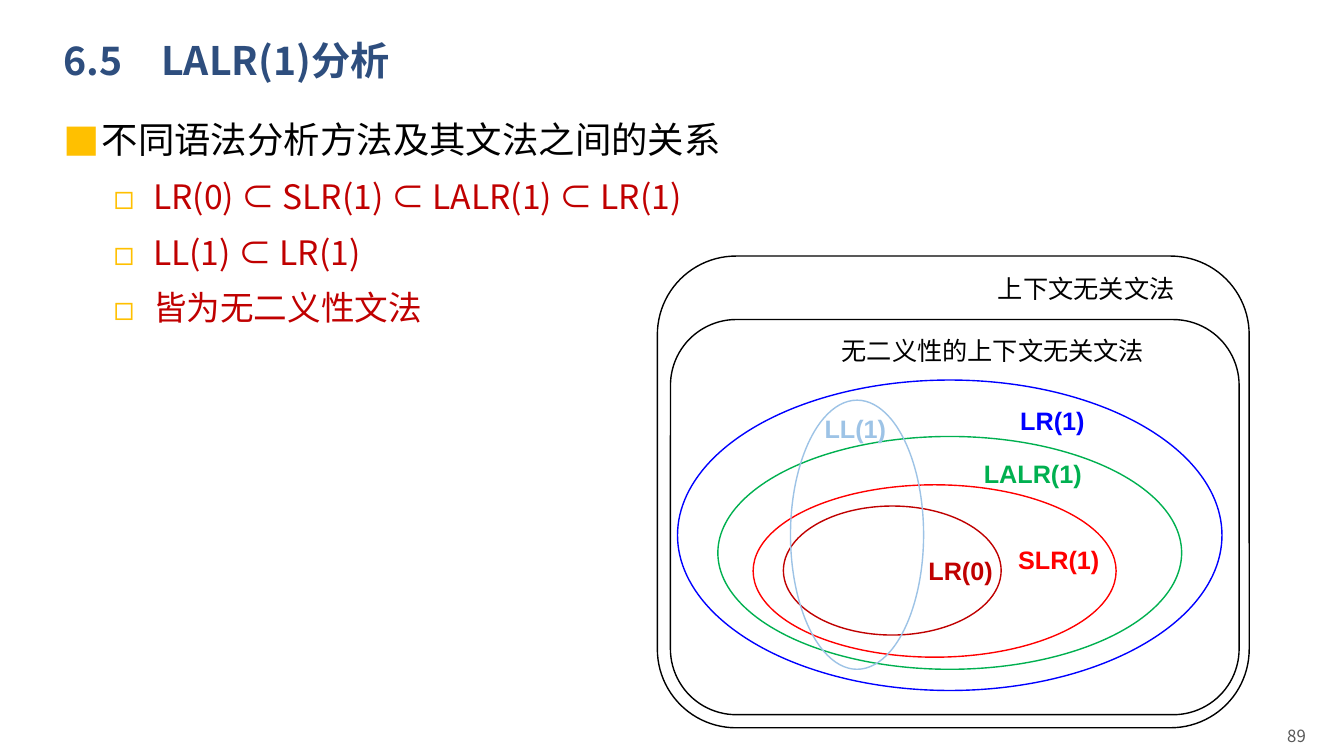
from lxml import etree
from pptx import Presentation
from pptx import util as u
from pptx.dml.color import RGBColor
from pptx.enum import shapes, text
from pptx.oxml.ns import qn

PX = 9144  # EMU per px, 100 px to the inch
CJK = "Noto Sans CJK SC"
COLORS = {
    "navy": "2E4E7E", "black": "000000", "grey": "595959", "amber": "FFC000",
    "blue": "0000FF", "green": "00B050", "red": "FF0000",
    "dark_red": "C00000", "light_blue": "9DC3E6",
}
# wording, level
BULLETS = [
    ("不同语法分析方法及其文法之间的关系", 0),
    ("LR(0) ⊂ SLR(1) ⊂ LALR(1) ⊂ LR(1)", 1),
    ("LL(1) ⊂ LR(1)", 1),
    ("皆为无二义性文法", 1),
]
# mark, text size, colour, left margin px, hanging px, space before
LEVELS = [
    ("■", 26, "black", 38, 38, 10),
    ("◻", 24, "dark_red", 89, 39, 5),
]
# name, shape box, label box
GRAMMAR_BOXES = [
    ("上下文无关文法", (652, 254, 587, 468), (980, 266, 197, 40)),
    ("无二义性的上下文无关文法", (665, 317, 564, 392), (825, 328, 323, 40)),
]
# name, colour, ellipse box, label box
GRAMMAR_CLASSES = [
    ("LR(1)", "blue", (672, 377, 540, 308), (1002, 397, 85, 40)),
    ("LALR(1)", "green", (712, 433, 460, 231), (966, 450, 118, 40)),
    ("SLR(1)", "red", (747, 481, 360, 171), (1000, 535, 102, 40)),
    ("LR(0)", "dark_red", (777, 502, 216, 128), (911, 546, 85, 40)),
    ("LL(1)", "light_blue", (784, 397, 132, 267), (808, 405, 85, 40)),
]


def emu(box):
    return [n * PX for n in box]


def rgb(color):
    return RGBColor.from_string(COLORS[color])


def add_run(p, words, size, color, font, bold=False):
    r = p.add_run()
    r.text = words
    r.font.size = u.Pt(size)
    r.font.bold = bold
    r.font.name = font
    r.font.color.rgb = rgb(color)
    east_asian = etree.Element(qn("a:ea"), typeface=font)
    r.font._element.find(qn("a:latin")).addnext(east_asian)


def add_label(s, box, words, size, color, font, bold=False, wrap=False,
              align=text.PP_ALIGN.LEFT, anchor=text.MSO_ANCHOR.TOP):
    tf = s.shapes.add_textbox(*emu(box)).text_frame
    tf.word_wrap = wrap
    tf.vertical_anchor = anchor
    p = tf.paragraphs[0]
    p.alignment = align
    add_run(p, words, size, color, font, bold)


def add_outline(s, kind, box, color):
    sp = s.shapes.add_shape(kind, *emu(box))
    sp.shadow.inherit = False
    sp.fill.background()
    sp.line.color.rgb = rgb(color)
    sp.line.width = u.Pt(1)


def set_title(s, words):
    title = s.shapes.title
    title.left, title.top, title.width, title.height = emu((53, 28, 1150, 68))
    tf = title.text_frame
    tf.auto_size = text.MSO_AUTO_SIZE.NONE
    tf.vertical_anchor = text.MSO_ANCHOR.MIDDLE
    p = tf.paragraphs[0]
    p.alignment = text.PP_ALIGN.LEFT
    p.line_spacing = 0.9
    add_run(p, words, 28, "navy", CJK, bold=True)


def set_bullet(p, mark, margin, hanging):
    pPr = p._p.get_or_add_pPr()
    pPr.set("marL", str(margin * PX))
    pPr.set("indent", str(-hanging * PX))
    color = etree.SubElement(pPr, qn("a:buClr"))
    etree.SubElement(color, qn("a:srgbClr"), val=COLORS["amber"])
    etree.SubElement(pPr, qn("a:buFont"), typeface=CJK)
    etree.SubElement(pPr, qn("a:buChar"), char=mark)


def add_bullets(s, box, bullets):
    tf = s.shapes.add_textbox(*emu(box)).text_frame
    tf.word_wrap = True
    for i, (words, level) in enumerate(bullets):
        mark, size, color, margin, hanging, before = LEVELS[level]
        p = tf.add_paragraph() if i else tf.paragraphs[0]
        set_bullet(p, mark, margin, hanging)
        p.level = level
        p.alignment = text.PP_ALIGN.JUSTIFY
        p.line_spacing = 1.2
        p.space_before = u.Pt(before if i else 0)
        add_run(p, words, size, color, CJK)


def add_grammar_diagram(s):
    for name, box, label_box in GRAMMAR_BOXES:
        add_outline(s, shapes.MSO_SHAPE.ROUNDED_RECTANGLE, box, "black")
        add_label(s, label_box, name, 18, "black", "Roboto")
    for name, color, box, label_box in GRAMMAR_CLASSES:
        add_outline(s, shapes.MSO_SHAPE.OVAL, box, color)
        add_label(s, label_box, name, 18, color, "Arial", bold=True)


def main():
    prs = Presentation()
    prs.slide_width, prs.slide_height = emu((1333, 750))
    s = prs.slides.add_slide(prs.slide_layouts[5])
    set_title(s, "6.5　LALR(1)分析")
    add_bullets(s, (53, 103, 1150, 606), BULLETS)
    add_grammar_diagram(s)
    add_label(s, (916, 710, 389, 40), "89", 12, "grey", CJK, wrap=True,
              align=text.PP_ALIGN.RIGHT, anchor=text.MSO_ANCHOR.MIDDLE)
    prs.save("out.pptx")


if __name__ == "__main__":
    main()
